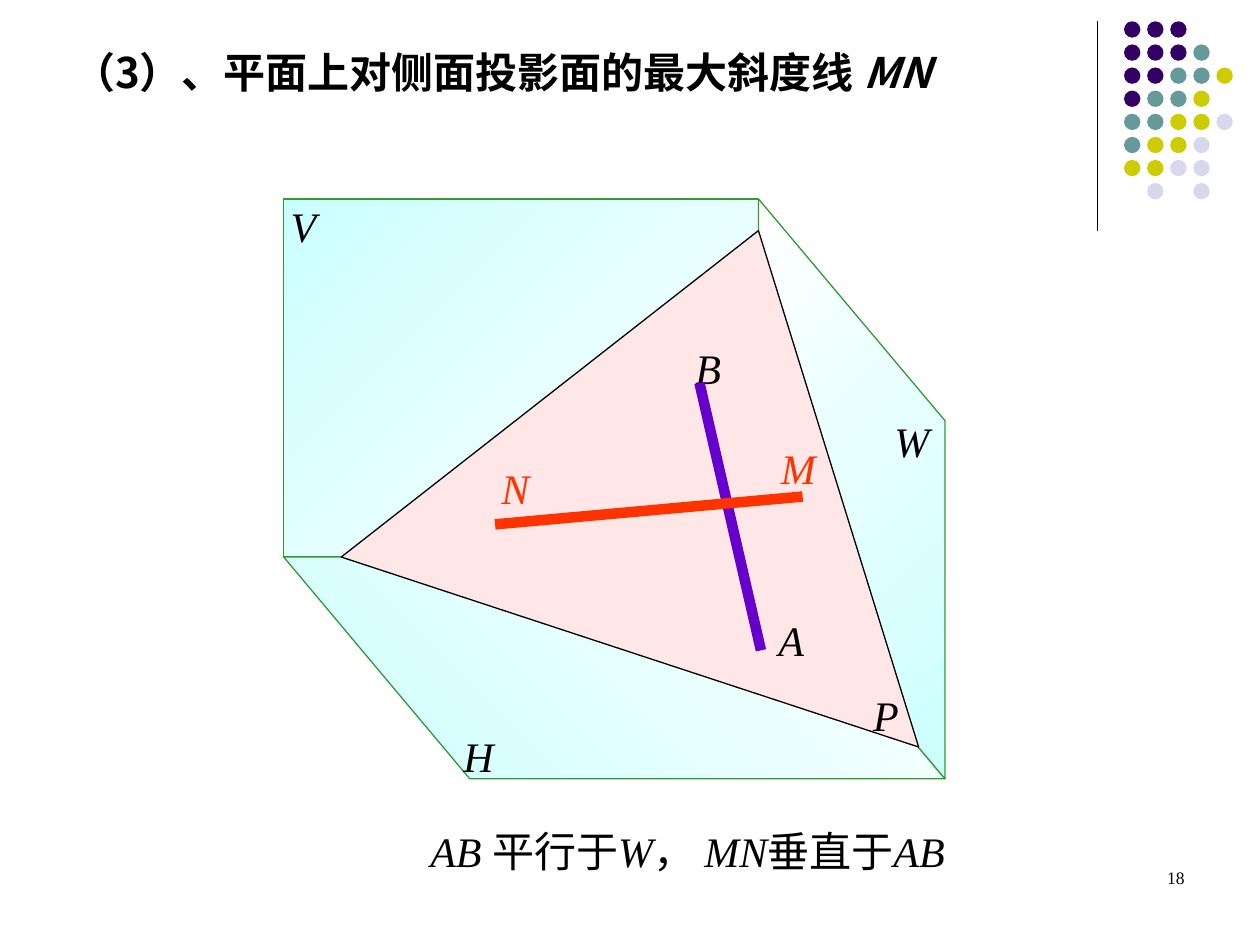
from dataclasses import dataclass

from lxml import etree
from pptx import Presentation
from pptx import util as u
from pptx.dml.color import RGBColor
from pptx.enum import shapes, text
from pptx.oxml import ns


@dataclass(frozen=True)
class Theme:
    ink: str = "000000"
    edge: str = "339933"
    pale: str = "CCFFFF"
    white: str = "FFFFFF"
    pink: str = "FFE7E7"
    violet: str = "6600CC"
    red: str = "FF3300"
    dots: tuple = ("330066", "669999", "CCCC00", "D8D8EC")
    serif: str = "Times New Roman"
    sans: str = "Noto Sans CJK SC"
    size: int = 24
    number_size: int = 10


theme = Theme()


def write(shape, content, color=theme.ink, size=theme.size, font=theme.serif,
          italic=False, bold=False, align=text.PP_ALIGN.LEFT):
    frame = shape.text_frame
    frame.word_wrap = True
    frame.auto_size = text.MSO_AUTO_SIZE.NONE
    frame.vertical_anchor = text.MSO_ANCHOR.TOP
    paragraph = frame.paragraphs[0]
    paragraph.alignment = align
    run = paragraph.add_run()
    run.text = content
    run.font.name = font
    run.font.size = u.Pt(size)
    run.font.italic = italic
    run.font.bold = bold
    run.font.color.rgb = RGBColor.from_string(color)
    east_asian = etree.SubElement(run.font._element, ns.qn("a:ea"))
    east_asian.set("typeface", theme.sans)


def draw_line(start, end, color, width):
    points = [u.Cm(value) for value in (*start, *end)]
    line = slide.shapes.add_connector(shapes.MSO_CONNECTOR.STRAIGHT, *points)
    line.line.color.rgb = RGBColor.from_string(color)
    line.line.width = u.Pt(width)
    etree.SubElement(line._element.spPr, ns.qn("a:effectLst"))


presentation = Presentation()
presentation.slide_width = u.Cm(25.4)
presentation.slide_height = u.Cm(19.05)
slide = presentation.slides.add_slide(presentation.slide_layouts[5])

title = slide.shapes.title
title.left, title.top, title.width, title.height = u.Cm(1.22), u.Cm(0.81), u.Cm(18.42), u.Cm(1.27)
write(title, "（3）、平面上对侧面投影面的最大斜度线 ", font=theme.sans, bold=True)
write(title, "MN", font=theme.sans, bold=True, italic=True)

draw_line((22.12, 0.43), (22.12, 4.65), theme.ink, 0.75)
dot_rows = ["000", "0001", "00112", "0112", "11223", "1223", "2233", " 3 3"]
pitch = 3.26 / 7
for row, codes in enumerate(dot_rows):
    for column, code in enumerate(codes):
        if code == " ":
            continue
        dot = slide.shapes.add_shape(
            shapes.MSO_SHAPE.OVAL, u.Cm(22.66 + column * pitch), u.Cm(0.43 + row * pitch),
            u.Cm(0.33), u.Cm(0.33))
        dot.shadow.inherit = False
        dot.fill.solid()
        dot.fill.fore_color.rgb = RGBColor.from_string(theme.dots[int(code)])
        dot.line.fill.background()

left, middle, right = 5.72, 15.29, 19.05
top, axis, bottom = 4.01, 11.23, 15.7
plane_v = slide.shapes.add_shape(
    shapes.MSO_SHAPE.RECTANGLE, u.Cm(left), u.Cm(top), u.Cm(middle - left), u.Cm(axis - top))
outlines = [
    [(left, axis), (9.47, bottom), (right, bottom), (middle, axis)],
    [(middle, top), (right, 8.48), (right, bottom), (middle, axis)],
    [(6.88, axis), (middle, 4.65), (18.52, 15.06)],
]
faces = []
for outline in outlines:
    points = [(u.Cm(x), u.Cm(y)) for x, y in outline]
    builder = slide.shapes.build_freeform(*points[0])
    builder.add_line_segments(points[1:], close=True)
    faces.append(builder.convert_to_shape())
plane_h, plane_w, plane_p = faces

for plane, colors, angle in [
    (plane_v, (theme.white, theme.pale), 135),
    (plane_h, (theme.white, theme.pale), 225),
    (plane_w, (theme.pale, theme.white), 135),
]:
    plane.fill.gradient()
    plane.fill.gradient_angle = angle
    for stop, color in zip(plane.fill.gradient_stops, colors):
        stop.color.rgb = RGBColor.from_string(color)
plane_p.fill.solid()
plane_p.fill.fore_color.rgb = RGBColor.from_string(theme.pink)

for plane in (plane_v, *faces):
    plane.shadow.inherit = False
    plane.line.color.rgb = RGBColor.from_string(theme.ink if plane is plane_p else theme.edge)
    plane.line.width = u.Pt(0.75)

labels = [
    ("V", 5.61, 3.91, 1.73, theme.ink),
    ("H", 9.09, 14.61, 1.75, theme.ink),
    ("W", 17.78, 8.26, 1.17, theme.ink),
    ("P", 17.35, 13.77, 1.07, theme.ink),
    ("B", 13.77, 6.78, 2.31, theme.ink),
    ("A", 15.44, 12.27, 2.31, theme.ink),
    ("M", 15.49, 8.79, 2.31, theme.red),
    ("N", 9.86, 9.19, 2.31, theme.red),
]
for name, x, y, width, color in labels:
    label = slide.shapes.add_textbox(u.Cm(x), u.Cm(y), u.Cm(width), u.Cm(1.27))
    write(label, name, color=color, italic=True)

draw_line((14.1, 7.72), (15.34, 13.11), theme.violet, 6)
draw_line((9.98, 10.57), (16.18, 10.01), theme.red, 6)

caption = slide.shapes.add_textbox(u.Cm(3.6), u.Cm(16.51), u.Cm(20.52), u.Cm(1.27))
caption_parts = ["AB ", "平行于", "W", "， ", "MN", "垂直于", "AB"]
for part in caption_parts:
    write(caption, part, italic=part.strip().isascii(), align=text.PP_ALIGN.CENTER)

number = slide.shapes.add_textbox(u.Cm(18.2), u.Cm(17.36), u.Cm(5.93), u.Cm(1.27))
write(number, "18", size=theme.number_size, align=text.PP_ALIGN.RIGHT)

presentation.save("out.pptx")
